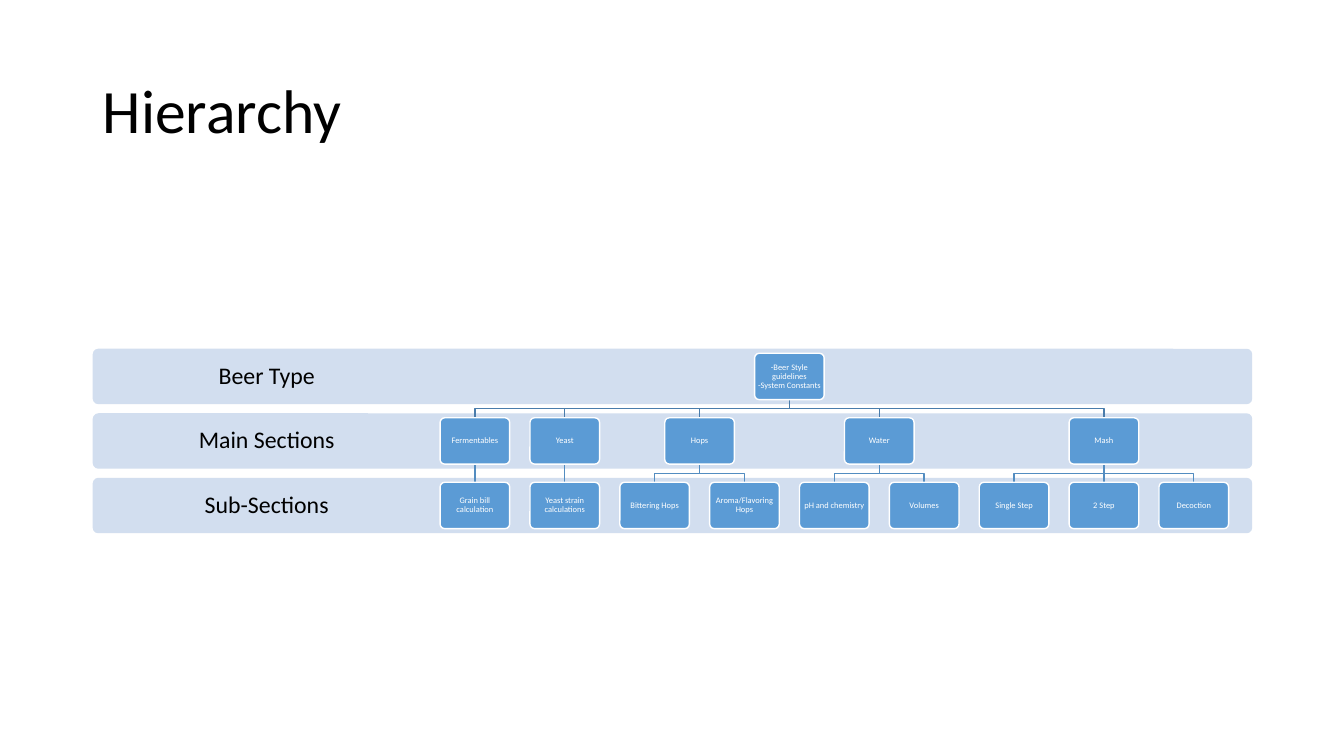
from dataclasses import dataclass

from pptx import Presentation, util as u
from pptx.dml.color import RGBColor
from pptx.enum import shapes, text
from pptx.oxml.ns import qn

BLACK = RGBColor(0x00, 0x00, 0x00)
WHITE = RGBColor(0xFF, 0xFF, 0xFF)
BAND_BLUE = RGBColor(0xD2, 0xDE, 0xEF)
BOX_BLUE = RGBColor(0x5B, 0x9B, 0xD5)
UPPER_LINE = RGBColor(0x49, 0x7C, 0xAB)
LOWER_LINE = RGBColor(0x53, 0x8D, 0xC1)

MARGIN, CONTENT_WIDTH = 0.92, 11.5
LABEL_WIDTH = 0.3 * CONTENT_WIDTH
FIRST_COLUMN, LAST_COLUMN, COLUMN_COUNT = 4.71, 11.84, 9
COLUMN_PITCH = (LAST_COLUMN - FIRST_COLUMN) / (COLUMN_COUNT - 1)
FIRST_ROW, ROW_PITCH, BAND_HEIGHT = 3.46, 0.64, 0.55
BOX_WIDTH, BOX_HEIGHT = 0.69, 0.46
BOX_OFFSET = (BAND_HEIGHT - BOX_HEIGHT) / 2


@dataclass(frozen=True)
class Area:
    left: float
    top: float
    width: float
    height: float

    def lengths(self) -> list[u.Length]:
        return [u.Inches(n) for n in (self.left, self.top, self.width, self.height)]


@dataclass(frozen=True)
class Style:
    size: float
    color: RGBColor
    align: text.PP_ALIGN
    inset: float


@dataclass(frozen=True)
class Node:
    label: str
    row: int
    column: float
    children: tuple["Node", ...] = ()

    @property
    def center(self) -> float:
        return FIRST_COLUMN + self.column * COLUMN_PITCH

    @property
    def area(self) -> Area:
        top = FIRST_ROW + self.row * ROW_PITCH + BOX_OFFSET
        return Area(self.center - BOX_WIDTH / 2, top, BOX_WIDTH, BOX_HEIGHT)


TITLE_STYLE = Style(44, BLACK, text.PP_ALIGN.LEFT, 0.1)
LABEL_STYLE = Style(17, BLACK, text.PP_ALIGN.CENTER, 0.13)
BOX_STYLE = Style(6, WHITE, text.PP_ALIGN.CENTER, 0.02)

LEVELS = ("Beer Type", "Main Sections", "Sub-Sections")
SECTIONS = (
    ("Fermentables", ("Grain bill calculation",)),
    ("Yeast", ("Yeast strain calculations",)),
    ("Hops", ("Bittering Hops", "Aroma/Flavoring Hops")),
    ("Water", ("pH and chemistry", "Volumes")),
    ("Mash", ("Single Step", "2 Step", "Decoction")),
)


def middle(children: tuple[Node, ...]) -> float:
    return (children[0].column + children[-1].column) / 2


def build_tree() -> Node:
    sections: list[Node] = []
    column = 0
    for name, topics in SECTIONS:
        leaves = tuple(Node(topic, 2, column + i) for i, topic in enumerate(topics))
        sections.append(Node(name, 1, middle(leaves), leaves))
        column += len(topics)
    children = tuple(sections)
    return Node("-Beer Style guidelines\v-System Constants", 0, middle(children), children)


def write(shape, words: str, style: Style) -> None:
    frame = shape.text_frame
    frame.word_wrap = True
    frame.vertical_anchor = text.MSO_ANCHOR.MIDDLE
    frame.margin_left = frame.margin_right = u.Inches(style.inset)
    frame.margin_top = frame.margin_bottom = u.Inches(style.inset)
    para = frame.paragraphs[0]
    para.text = words
    para.alignment = style.align
    para.line_spacing = 0.9
    para.font.name = "Calibri"
    para.font.size = u.Pt(style.size)
    para.font.color.rgb = style.color


def add_text(page, words: str, area: Area, style: Style) -> None:
    write(page.shapes.add_textbox(*area.lengths()), words, style)


def add_panel(page, area: Area, fill: RGBColor):
    panel = page.shapes.add_shape(shapes.MSO_SHAPE.ROUNDED_RECTANGLE, *area.lengths())
    panel.adjustments[0] = 0.1
    panel.shadow.inherit = False
    panel.fill.solid()
    panel.fill.fore_color.rgb = fill
    panel.line.fill.background()
    return panel


def add_branch(page, parent: Node, child: Node) -> None:
    start = parent.area.top + BOX_HEIGHT
    end = child.area.top
    bend = (start + end) / 2
    points = [
        (u.Inches(x), u.Inches(y))
        for x, y in (
            (parent.center, start),
            (parent.center, bend),
            (child.center, bend),
            (child.center, end),
        )
    ]
    if parent.column == child.column:
        branch = page.shapes.add_connector(
            shapes.MSO_CONNECTOR.STRAIGHT, *points[0], *points[-1]
        )
        properties = branch.element.spPr
        properties.append(properties.makeelement(qn("a:effectLst"), {}))
    else:
        builder = page.shapes.build_freeform(*points[0], scale=1.0)
        builder.add_line_segments(points[1:], close=False)
        branch = builder.convert_to_shape()
        branch.shadow.inherit = False
        branch.fill.background()
    branch.line.color.rgb = LOWER_LINE if parent.row else UPPER_LINE
    branch.line.width = u.Pt(1)


def add_node(page, node: Node) -> None:
    for child in node.children:
        add_branch(page, node, child)
        add_node(page, child)
    box = add_panel(page, node.area, BOX_BLUE)
    box.line.color.rgb = WHITE
    box.line.width = u.Pt(1)
    write(box, node.label, BOX_STYLE)


def main() -> None:
    deck = Presentation()
    deck.slide_width, deck.slide_height = u.Inches(13.33), u.Inches(7.5)
    page = deck.slides.add_slide(deck.slide_layouts[6])
    add_text(page, "Hierarchy", Area(MARGIN, 0.4, CONTENT_WIDTH, 1.45), TITLE_STYLE)
    for row, level in enumerate(LEVELS):
        top = FIRST_ROW + row * ROW_PITCH
        add_panel(page, Area(MARGIN, top, CONTENT_WIDTH, BAND_HEIGHT), BAND_BLUE)
        add_text(page, level, Area(MARGIN, top, LABEL_WIDTH, BAND_HEIGHT), LABEL_STYLE)
    add_node(page, build_tree())
    deck.save("out.pptx")


main()
